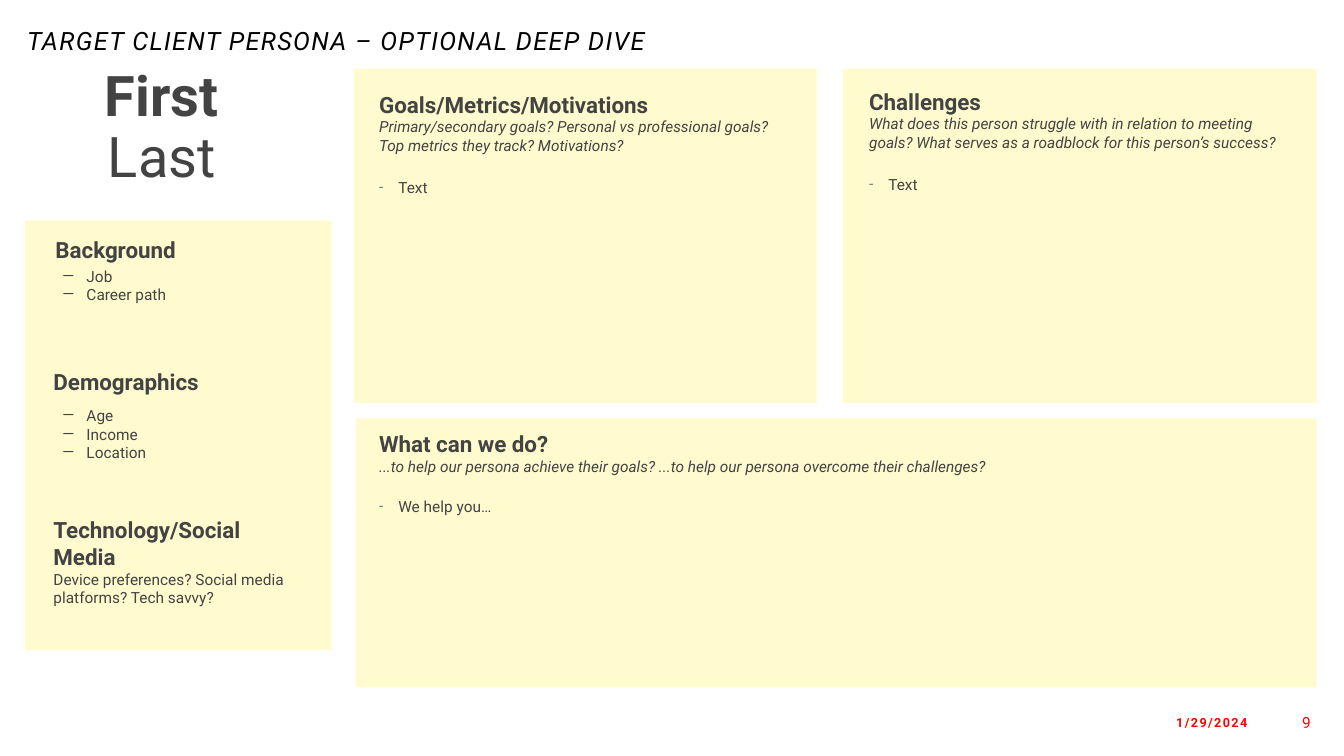
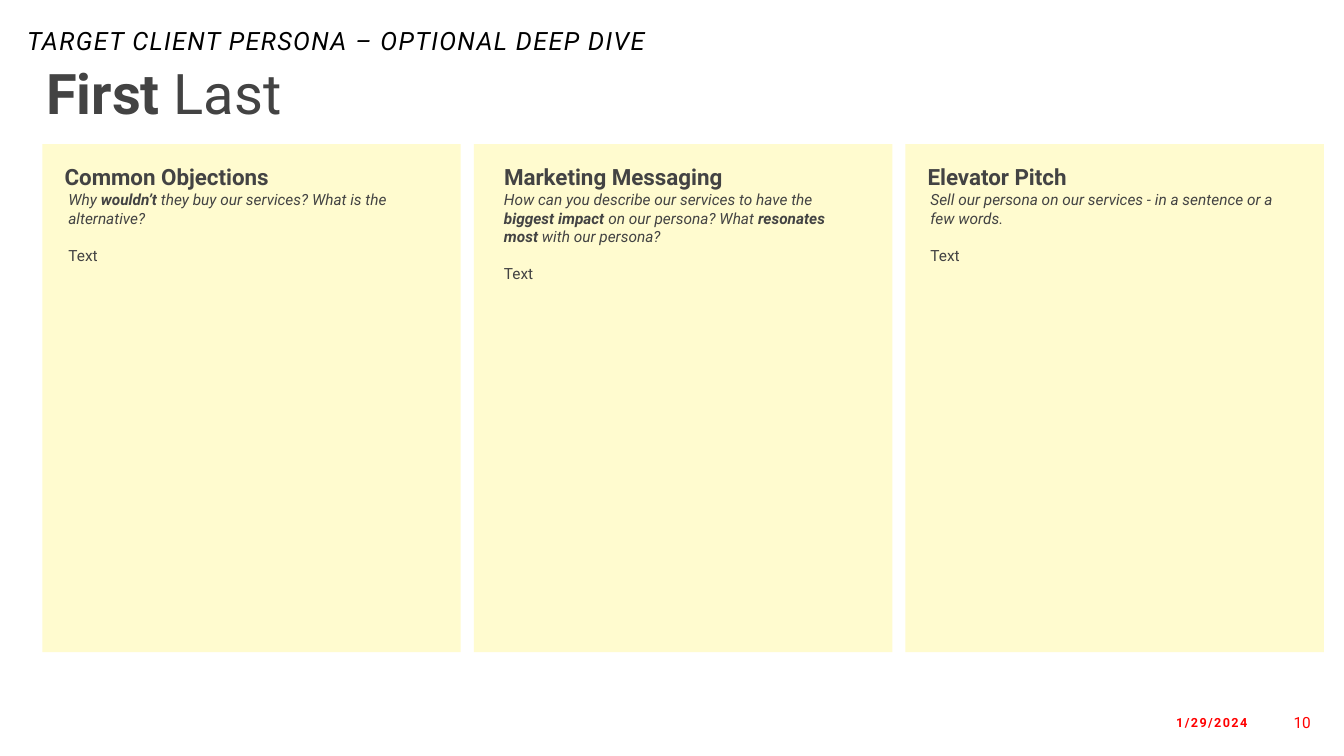
import dataclasses

import lxml.etree
import pptx
import pptx.dml.color
import pptx.enum.shapes
import pptx.enum.text
import pptx.oxml.ns
import pptx.util

RGBColor = pptx.dml.color.RGBColor
ALIGN = pptx.enum.text.PP_ALIGN
ANCHOR = pptx.enum.text.MSO_ANCHOR

# Shared style: 100 px to the inch
EMU_PER_PX = 9144
FONT = "Roboto"
BLACK = RGBColor(0x00, 0x00, 0x00)
INK = RGBColor(0x43, 0x43, 0x43)
DASH_GREY = RGBColor(0x6C, 0x80, 0x8B)
RED = RGBColor(0xFF, 0x00, 0x00)
CREAM = RGBColor(0xFF, 0xFB, 0xCF)
HEADING_SIZE, BODY_SIZE, NAME_SIZE = 16, 11, 40
TITLE = "TARGET CLIENT PERSONA – OPTIONAL DEEP DIVE"
DATE = "1/29/2024"


def px(length):
    return pptx.util.Emu(length * EMU_PER_PX)


@dataclasses.dataclass
class Bullet:
    mark: str
    color: RGBColor
    indent: int
    hanging: int


LONG_DASH = Bullet("—", INK, 25, 24)
SHORT_DASH = Bullet("-", DASH_GREY, 19, 19)


@dataclasses.dataclass
class Line:
    """One paragraph; each phrase is plain text or a (text, bold) pair."""
    phrases: list
    size: int = BODY_SIZE
    color: RGBColor = INK
    bold: bool = False
    italic: bool = False
    align: ALIGN = ALIGN.LEFT
    spacing: float = 1.0
    before: float = 0
    tracking: int = 0
    bullet: Bullet = None


def heading(text, spacing=1.0):
    return Line([text], HEADING_SIZE, bold=True, spacing=spacing)


def prompt(*phrases):
    return Line(list(phrases), italic=True)


class PersonaDeck:
    def __init__(self):
        self.deck = pptx.Presentation()
        self.deck.slide_width = pptx.util.Inches(13.33)
        self.deck.slide_height = pptx.util.Inches(7.5)
        self.page = None

    def new_page(self, number):
        """Start a slide with the shared title, date and page number."""
        self.page = self.deck.slides.add_slide(self.deck.slide_layouts[6])
        self.text(17, 26, 1300, 30,
                  [Line([TITLE], 18, BLACK, italic=True, spacing=0.8, tracking=1)])
        self.text(1011, 702, 236, 30,
                  [Line([DATE], 9, RED, bold=True, align=ALIGN.RIGHT, tracking=1)],
                  anchor=ANCHOR.MIDDLE)
        self.text(1257, 702, 53, 30,
                  [Line([str(number)], color=RED, align=ALIGN.RIGHT)],
                  anchor=ANCHOR.MIDDLE)

    def card(self, left, top, width, height):
        box = self.page.shapes.add_shape(
            pptx.enum.shapes.MSO_SHAPE.RECTANGLE,
            px(left), px(top), px(width), px(height))
        box.shadow.inherit = False
        box.fill.solid()
        box.fill.fore_color.rgb = CREAM
        box.line.fill.background()

    def text(self, left, top, width, height, lines, inset=(10, 5), anchor=ANCHOR.TOP):
        box = self.page.shapes.add_textbox(px(left), px(top), px(width), px(height))
        frame = box.text_frame
        frame.word_wrap = True
        frame.vertical_anchor = anchor
        frame.margin_left = frame.margin_right = px(inset[0])
        frame.margin_top = frame.margin_bottom = px(inset[1])
        for index, line in enumerate(lines):
            para = frame.add_paragraph() if index else frame.paragraphs[0]
            self.fill_line(para, line)

    def fill_line(self, para, line):
        if line.bullet:
            self.add_bullet(para, line.bullet)
        para.alignment = line.align
        para.line_spacing = line.spacing
        if line.before:
            para.space_before = pptx.util.Pt(line.before)
        for phrase in line.phrases:
            words, bold = phrase if isinstance(phrase, tuple) else (phrase, line.bold)
            span = para.add_run()
            span.text = words
            span.font.name = FONT
            span.font.size = pptx.util.Pt(line.size)
            span.font.color.rgb = line.color
            span.font.bold = bold
            span.font.italic = line.italic
            if line.tracking:
                span._r.get_or_add_rPr().set("spc", str(line.tracking * 100))

    def add_bullet(self, para, bullet):
        qn = pptx.oxml.ns.qn
        properties = para._p.get_or_add_pPr()
        properties.set("marL", str(px(bullet.indent)))
        properties.set("indent", str(-px(bullet.hanging)))
        color = lxml.etree.SubElement(properties, qn("a:buClr"))
        lxml.etree.SubElement(color, qn("a:srgbClr")).set("val", str(bullet.color))
        lxml.etree.SubElement(properties, qn("a:buFont")).set("typeface", FONT)
        lxml.etree.SubElement(properties, qn("a:buChar")).set("char", bullet.mark)

    def section(self, left, top, width, height, lines):
        self.text(left, top, width, height, lines, inset=(12, 12))

    def person(self, left, top, width, height, lines):
        self.text(left, top, width, height, lines, inset=(10, 10))

    def bullet_list(self, left, top, width, height, items):
        self.text(left, top, width, height,
                  [Line([item], bullet=LONG_DASH) for item in items])

    def save(self):
        self.deck.save("out.pptx")


def build_profile(deck):
    deck.new_page(9)
    deck.person(18, 58, 285, 141,
                [Line([word], NAME_SIZE, bold=bold, align=ALIGN.CENTER, spacing=0.9)
                 for word, bold in (("First", True), ("Last", False))])

    # Left column
    deck.card(25, 219, 304, 426)
    deck.section(43, 218, 226, 52, [heading("Background", 1.15)])
    deck.bullet_list(51, 260, 257, 128, ["Job", "Career path"])
    deck.section(41, 349, 249, 30, [heading("Demographics", 1.15)])
    deck.bullet_list(51, 398, 240, 71, ["Age", "Income", "Location"])
    deck.section(41, 500, 262, 128, [
        heading("Technology/Social Media"),
        Line(["Device preferences? Social media platforms? Tech savvy?"])])

    # Question cards: card, text box, heading, prompt, answer, gap above the answer
    questions = [
        ((351, 68, 459, 332), (364, 78, 425, 311), "Goals/Metrics/Motivations",
         "Primary/secondary goals? Personal vs professional goals? "
         "Top metrics they track? Motivations?", "Text", 15),
        ((836, 68, 470, 332), (850, 75, 432, 313), "Challenges",
         "What does this person struggle with in relation to meeting goals? "
         "What serves as a roadblock for this person’s success?", "Text", 15),
        ((353, 415, 953, 267), (364, 415, 926, 268), "What can we do?",
         "...to help our persona achieve their goals? "
         "...to help our persona overcome their challenges?", "We help you…", 13),
    ]
    for card, area, title, question, answer, gap in questions:
        deck.card(*card)
        deck.section(*area, [
            heading(title), prompt(question),
            Line([answer], spacing=1.15, before=gap, bullet=SHORT_DASH)])


def build_messaging(deck):
    deck.new_page(10)
    deck.person(36, 56, 445, 81,
                [Line([("First ", True), "Last"], NAME_SIZE, spacing=0.9)])

    # Three equal columns: heading, its inset, prompt inset and width, prompt
    columns = [
        ("Common Objections", 10, 16, 370, prompt(
            "Why ", ("wouldn’t", True),
            " they buy our services? What is the alternative?")),
        ("Marketing Messaging", 18, 20, 374, prompt(
            "How can you describe our services to have the ",
            ("biggest impact ", True), "on our persona? What ",
            ("resonates most ", True), "with our persona?")),
        ("Elevator Pitch", 10, 15, 384, prompt(
            "Sell our persona on our services - in a sentence or a few words.")),
    ]
    for index, (title, title_inset, inset, width, question) in enumerate(columns):
        left = 42 + 428 * index
        deck.card(left, 143, 415, 504)
        deck.section(left + title_inset, 146, 336, 52, [heading(title, 1.15)])
        deck.text(left + inset, 184, width, 443,
                  [question, Line(["Text"], before=13)])


def main():
    deck = PersonaDeck()
    build_profile(deck)
    build_messaging(deck)
    deck.save()


if __name__ == "__main__":
    main()
